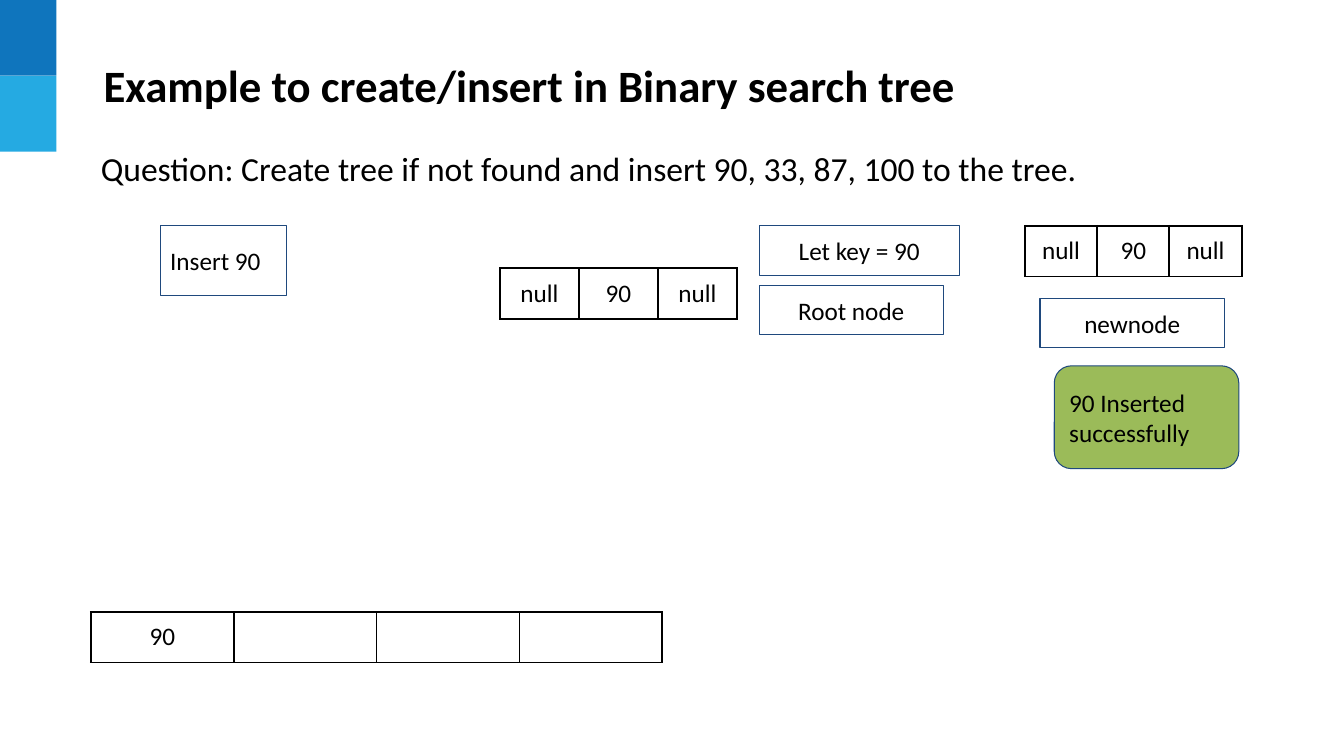
from lxml.etree import SubElement
from pptx import Presentation
from pptx.dml.color import RGBColor
from pptx.enum.shapes import MSO_SHAPE as Shape
from pptx.enum.text import MSO_ANCHOR as Anchor, PP_ALIGN as Align
from pptx.oxml.ns import qn
from pptx.util import Cm, Pt

BLACK, WHITE, NAVY, GREEN = "000000", "FFFFFF", "1F497D", "9BBB59"
DARK_BLUE, LIGHT_BLUE = "0F75BD", "25AAE2"
INSET = 0.25


def color(hex_code):
    return RGBColor.from_string(hex_code)


def apply(target, values):
    for name, value in values.items():
        setattr(target, name, value)


class SlideBuilder:
    """Holds the slide being built and its text style."""

    def __init__(self, slide):
        self.slide = slide
        self.font = {"name": "Calibri", "size": Pt(18), "bold": False}

    def fill_text(self, frame, text, align=Align.LEFT, **font):
        frame.text = text
        paragraph = frame.paragraphs[0]
        apply(paragraph, {"alignment": align, "space_before": Pt(0)})
        apply(paragraph.font, {**self.font, **font})
        paragraph.font.color.rgb = color(BLACK)
        return paragraph

    def format_frame(self, frame, anchor, vertical_inset=INSET):
        apply(frame, {
            "word_wrap": True, "vertical_anchor": anchor,
            "margin_left": Cm(INSET), "margin_right": Cm(INSET),
            "margin_top": Cm(vertical_inset), "margin_bottom": Cm(vertical_inset),
        })

    def placeholder(self, shape, text, box, anchor, vertical_inset=INSET, **font):
        apply(shape, dict(zip(("left", "top", "width", "height"), map(Cm, box))))
        self.format_frame(shape.text_frame, anchor, vertical_inset)
        return self.fill_text(shape.text_frame, text, **font)

    def title(self, text, box):
        self.placeholder(self.slide.shapes.title, text, box, Anchor.MIDDLE, 0.13,
                         size=Pt(32), bold=True)

    def body(self, text, box):
        paragraph = self.placeholder(self.slide.placeholders[1], text, box,
                                     Anchor.TOP, size=Pt(24))
        properties = paragraph._p.get_or_add_pPr()
        properties.set("marL", "0")
        properties.set("indent", "0")
        bullet = SubElement(properties, qn("a:buNone"))
        properties.find(qn("a:spcBef")).addnext(bullet)

    def block(self, box, fill, line=None, kind=Shape.RECTANGLE):
        shape = self.slide.shapes.add_shape(kind, *map(Cm, box))
        shape.shadow.inherit = False
        shape.fill.solid()
        shape.fill.fore_color.rgb = color(fill)
        if line:
            shape.line.color.rgb = color(line)
            shape.line.width = Pt(0.75)
        else:
            shape.line.fill.background()
        return shape

    def label(self, text, box, align=Align.CENTER, fill=WHITE, kind=Shape.RECTANGLE):
        shape = self.block(box, fill, NAVY, kind)
        self.format_frame(shape.text_frame, Anchor.MIDDLE)
        self.fill_text(shape.text_frame, text, align)

    def border(self, cell):
        properties = cell._tc.get_or_add_tcPr()
        for side in ("lnL", "lnR", "lnT", "lnB"):
            line = SubElement(properties, qn(f"a:{side}"), w=str(Pt(1.5)))
            fill = SubElement(line, qn("a:solidFill"))
            SubElement(fill, qn("a:srgbClr"), val=BLACK)

    def row_table(self, values, left, top, column_width, height):
        table = self.slide.shapes.add_table(
            1, len(values), Cm(left), Cm(top),
            Cm(column_width * len(values)), Cm(height)).table
        apply(table, {"first_row": False, "horz_banding": False})
        for column, cell, value in zip(table.columns, table.rows[0].cells, values):
            column.width = Cm(column_width)
            apply(cell, {f"margin_{side}": Cm(INSET)
                         for side in ("left", "right", "top", "bottom")})
            self.fill_text(cell.text_frame, value, Align.CENTER)
            self.border(cell)
            cell.fill.background()


def main():
    presentation = Presentation()
    apply(presentation, {"slide_width": Cm(33.87), "slide_height": Cm(19.05)})
    builder = SlideBuilder(presentation.slides.add_slide(presentation.slide_layouts[1]))

    for index, fill in enumerate((DARK_BLUE, LIGHT_BLUE)):
        builder.block((0, index * 1.91, 1.42, 1.91), fill)
    builder.title("Example to create/insert in Binary search tree", (2.36, 0.99, 29.51, 2.29))
    builder.body("Question: Create tree if not found and insert 90, 33, 87, 100 to the tree.",
                 (2.29, 3.48, 29.51, 1.55))

    node = ("null", "90", "null")
    builder.row_table(node, 25.83, 5.69, 1.82, 1.25)
    builder.row_table(node, 12.6, 6.76, 1.99, 1.25)
    builder.row_table(("90", "", "", ""), 2.29, 15.42, 3.6, 1.07)

    builder.label("Let key = 90", (19.13, 5.69, 5.05, 1.25))
    builder.label("Root node", (19.13, 7.19, 4.65, 1.25))
    builder.label("newnode", (26.21, 7.52, 4.65, 1.25))
    builder.label("Insert 90", (4.04, 5.69, 3.18, 1.75), Align.LEFT)
    builder.label("90 Inserted successfully", (26.57, 9.22, 4.65, 2.59),
                  Align.LEFT, GREEN, Shape.ROUNDED_RECTANGLE)

    presentation.save("out.pptx")


if __name__ == "__main__":
    main()
